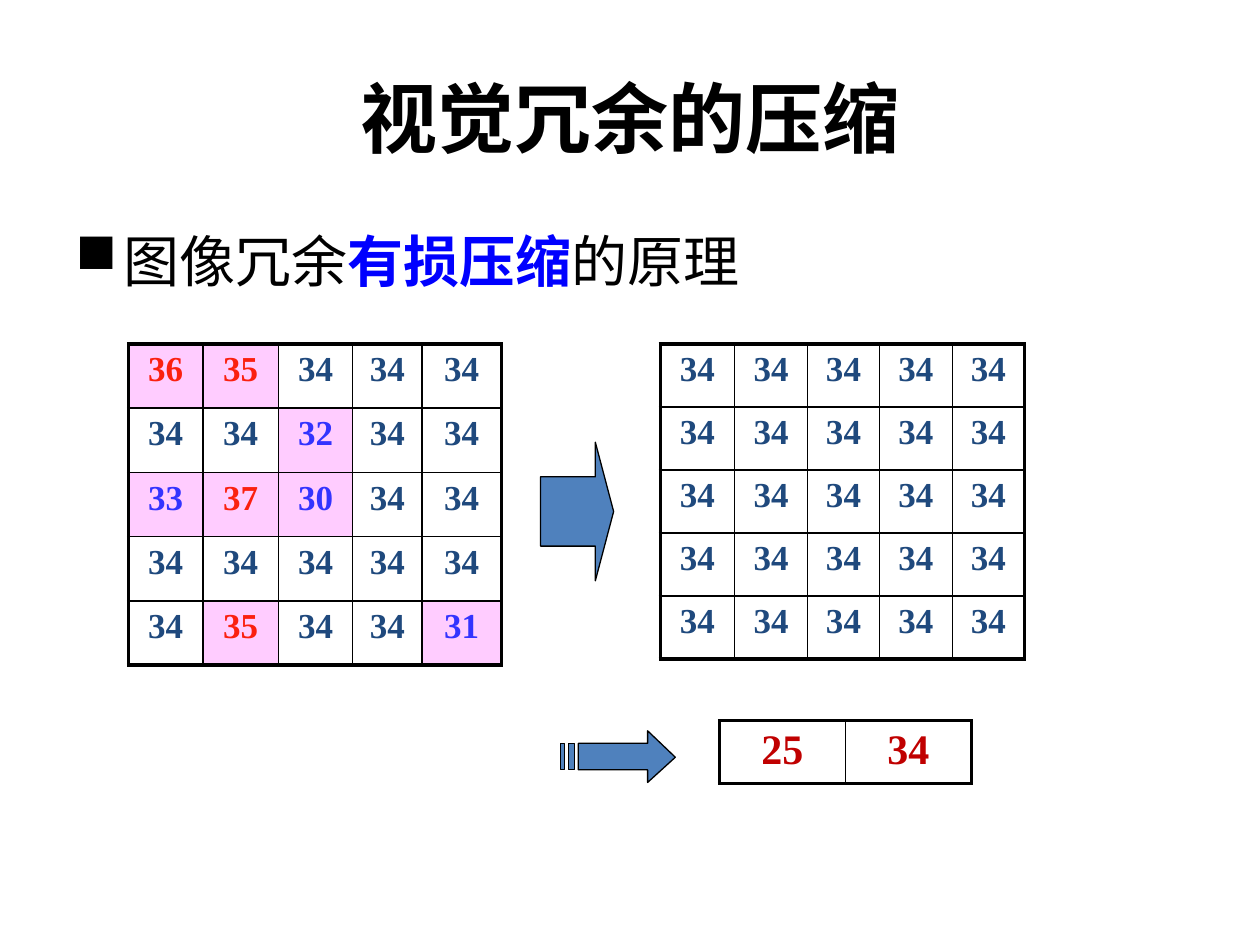
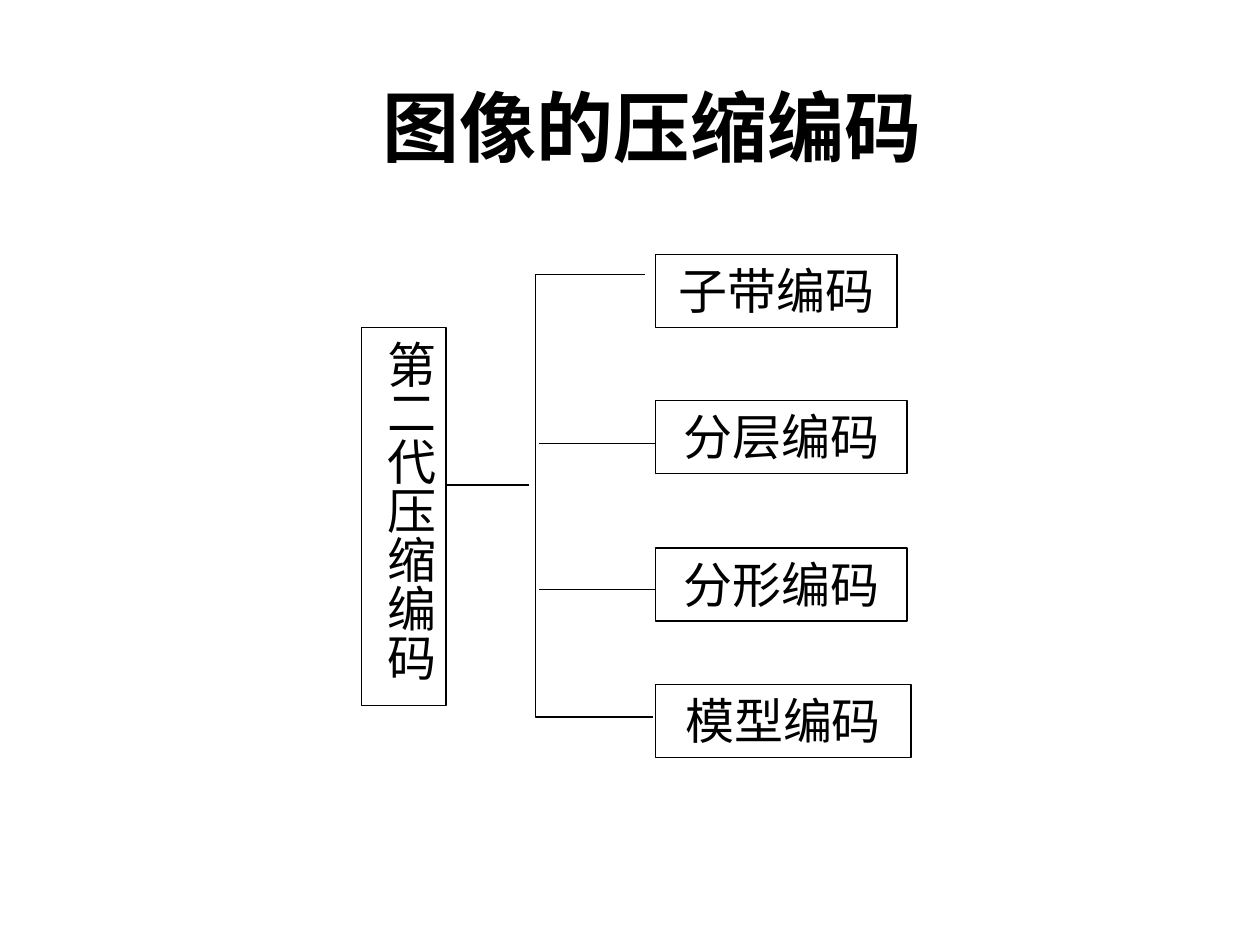
from lxml.etree import SubElement
from pptx import Presentation
from pptx.dml.color import RGBColor
from pptx.enum.shapes import MSO_CONNECTOR, MSO_SHAPE
from pptx.enum.text import MSO_ANCHOR, MSO_AUTO_SIZE, PP_ALIGN
from pptx.oxml.ns import qn
from pptx.util import Inches, Pt

COLORS = {
    "black": "000000", "blue": "0000FF", "navy": "1F497D", "pink": "FFCCFF",
    "high": "FB200F", "low": "3333FF", "dark red": "C00000", "arrow": "4F81BD",
}
BASE = 34
PIXELS = [
    [36, 35, 34, 34, 34],
    [34, 34, 32, 34, 34],
    [33, 37, 30, 34, 34],
    [34, 34, 34, 34, 34],
    [34, 35, 34, 34, 31],
]


def rgb(name):
    return RGBColor.from_string(COLORS[name])


def add_text(frame, text, size=28, color="black", bold=False, font="Arial",
             align=PP_ALIGN.CENTER):
    """Append one run to the first paragraph of the frame."""
    para = frame.paragraphs[0]
    para.alignment = align
    run = para.add_run()
    run.text = text
    run.font.name = font
    run.font.size = Pt(size)
    run.font.bold = bold
    run.font.color.rgb = rgb(color)


def add_box(slide, left, top, width, height):
    box = slide.shapes.add_textbox(*map(Inches, (left, top, width, height)))
    box.text_frame.word_wrap = True
    return box.text_frame


def add_title(slide, text, *place):
    frame = add_box(slide, *place)
    frame.vertical_anchor = MSO_ANCHOR.MIDDLE
    add_text(frame, text, size=44, bold=True)


def add_bullet(para, char, indent):
    props = para._p.get_or_add_pPr()
    props.set("marL", str(Inches(indent)))
    props.set("indent", str(-Inches(indent)))
    SubElement(props, qn("a:buChar")).set("char", char)


def style_shape(shape, fill=None, width=0.75):
    shape.shadow.inherit = False
    if fill:
        shape.fill.solid()
        shape.fill.fore_color.rgb = rgb(fill)
    else:
        shape.fill.background()
    shape.line.color.rgb = rgb("black")
    shape.line.width = Pt(width)


def set_border(cell, side, width):
    line = SubElement(cell._tc.get_or_add_tcPr(), qn(f"a:ln{side}"), w=str(Pt(width)))
    fill = SubElement(line, qn("a:solidFill"))
    SubElement(fill, qn("a:srgbClr"), val=COLORS["black"])


def add_grid(slide, left, top, values, widths, height, size=20, paint=None):
    """Table with thick outer borders; paint gives a value's text and fill colours."""
    rows, cols = len(values), len(widths)
    frame = slide.shapes.add_table(rows, cols, Inches(left), Inches(top),
                                   Inches(sum(widths)), Inches(rows * height))
    table = frame.table
    table.first_row = table.horz_banding = False
    for col, width in zip(table.columns, widths):
        col.width = Inches(width)
    for r, line in enumerate(values):
        table.rows[r].height = Inches(height)
        for c, value in enumerate(line):
            cell = table.cell(r, c)
            edges = {"L": c == 0, "R": c == cols - 1, "T": r == 0, "B": r == rows - 1}
            for side, outer in edges.items():
                set_border(cell, side, 2.25 if outer else 1)
            color, fill = paint(value)
            if fill:
                cell.fill.solid()
                cell.fill.fore_color.rgb = rgb(fill)
            else:
                cell.fill.background()
            add_text(cell.text_frame, str(value), size=size, color=color, bold=True,
                     font="Times New Roman")


def paint_pixel(value):
    if value == BASE:
        return "navy", None
    return ("high" if value > BASE else "low"), "pink"


def paint_code(value):
    return "dark red", None


def add_striped(slide):
    """Right arrow with two stripes at its tail, as one outline."""
    top, bottom = 5.9, 6.11
    head = [(5.14, 5.8), (5.14, top), (4.59, top), (4.59, bottom),
            (5.14, bottom), (5.14, 6.21), (5.36, 6.01)]
    stripes = [[(a, top), (a, bottom), (b, bottom), (b, top)]
               for a, b in ((4.51, 4.56), (4.45, 4.48))]
    outlines = [[(Inches(x), Inches(y)) for x, y in part] for part in [head, *stripes]]
    pen = None
    for start, *rest in outlines:
        if pen:
            pen.move_to(*start)
        else:
            pen = slide.shapes.build_freeform(*start)
        pen.add_line_segments(rest, close=True)
    style_shape(pen.convert_to_shape(), "arrow")


def add_node(slide, text, left, top, width, height, line=0.75, upright=False):
    node = slide.shapes.add_shape(MSO_SHAPE.RECTANGLE,
                                  *map(Inches, (left, top, width, height)))
    style_shape(node, width=line)
    frame = node.text_frame
    frame.word_wrap = True
    frame.auto_size = MSO_AUTO_SIZE.SHAPE_TO_FIT_TEXT
    frame.vertical_anchor = MSO_ANCHOR.TOP
    if upright:
        frame._txBody.bodyPr.set("vert", "eaVert")
    add_text(frame, text, align=PP_ALIGN.LEFT if upright else PP_ALIGN.CENTER)


def add_line(slide, x1, y1, x2, y2, bend=None):
    """Straight line, or an elbow whose upright part stands at x = bend."""
    kind = MSO_CONNECTOR.STRAIGHT if bend is None else MSO_CONNECTOR.ELBOW
    line = slide.shapes.add_connector(kind, *map(Inches, (x1, y1, x2, y2)))
    line.line.color.rgb = rgb("black")
    line.line.width = Pt(0.75)
    props = line._element.spPr
    SubElement(props, qn("a:effectLst"))
    if bend is not None:
        ratio = round((bend - x1) / (x2 - x1) * 100000)
        guides = props.find(qn("a:prstGeom")).get_or_add_avLst()
        SubElement(guides, qn("a:gd"), name="adj1", fmla=f"val {ratio}")


def build_pixels(slide):
    add_title(slide, "视觉冗余的压缩", 0.5, 0.3, 9, 1.25)
    body = add_box(slide, 0.5, 1.75, 9, 0.7)
    add_bullet(body.paragraphs[0], "■", 0.38)
    for text, color, bold in (("图像冗余", "black", False), ("有损压缩", "blue", True),
                              ("的原理", "black", False)):
        add_text(body, text, size=32, color=color, bold=bold, align=PP_ALIGN.LEFT)
    add_grid(slide, 1.02, 2.73, PIXELS, [0.59, 0.6, 0.59, 0.55, 0.63], 0.51,
             paint=paint_pixel)
    add_grid(slide, 5.24, 2.73, [[BASE] * 5] * 5, [0.59, 0.58, 0.57, 0.58, 0.57], 0.5,
             paint=paint_pixel)
    arrow = slide.shapes.add_shape(MSO_SHAPE.RIGHT_ARROW,
                                   *map(Inches, (4.29, 3.51, 0.58, 1.1)))
    arrow.adjustments[1] = 0.25
    style_shape(arrow, "arrow")
    add_striped(slide)
    add_grid(slide, 5.71, 5.72, [[25, BASE]], [1, 1], 0.49, size=24, paint=paint_code)


def build_tree(slide):
    add_title(slide, "图像的压缩编码", 1.68, 0.62, 7, 0.76)
    leaves = (("子带编码", 2.02, 1.92), ("分层编码", 3.18, 2),
              ("分形编码", 4.35, 2), ("模型编码", 5.43, 2.03))
    for text, top, width in leaves:
        add_node(slide, text, 5.2, top, width, 0.58)
    add_line(slide, 5.12, 2.18, 5.18, 5.69, bend=4.25)
    add_line(slide, 3.53, 3.85, 4.2, 3.85)
    for y in (3.52, 4.68):
        add_line(slide, 4.28, y, 5.2, y)
    add_node(slide, "第二代压缩编码", 2.87, 2.6, 0.67, 3, line=1, upright=True)


def main():
    deck = Presentation()
    deck.slide_width, deck.slide_height = Inches(10), Inches(7.5)
    for build in (build_pixels, build_tree):
        build(deck.slides.add_slide(deck.slide_layouts[6]))
    deck.save("out.pptx")


if __name__ == "__main__":
    main()
